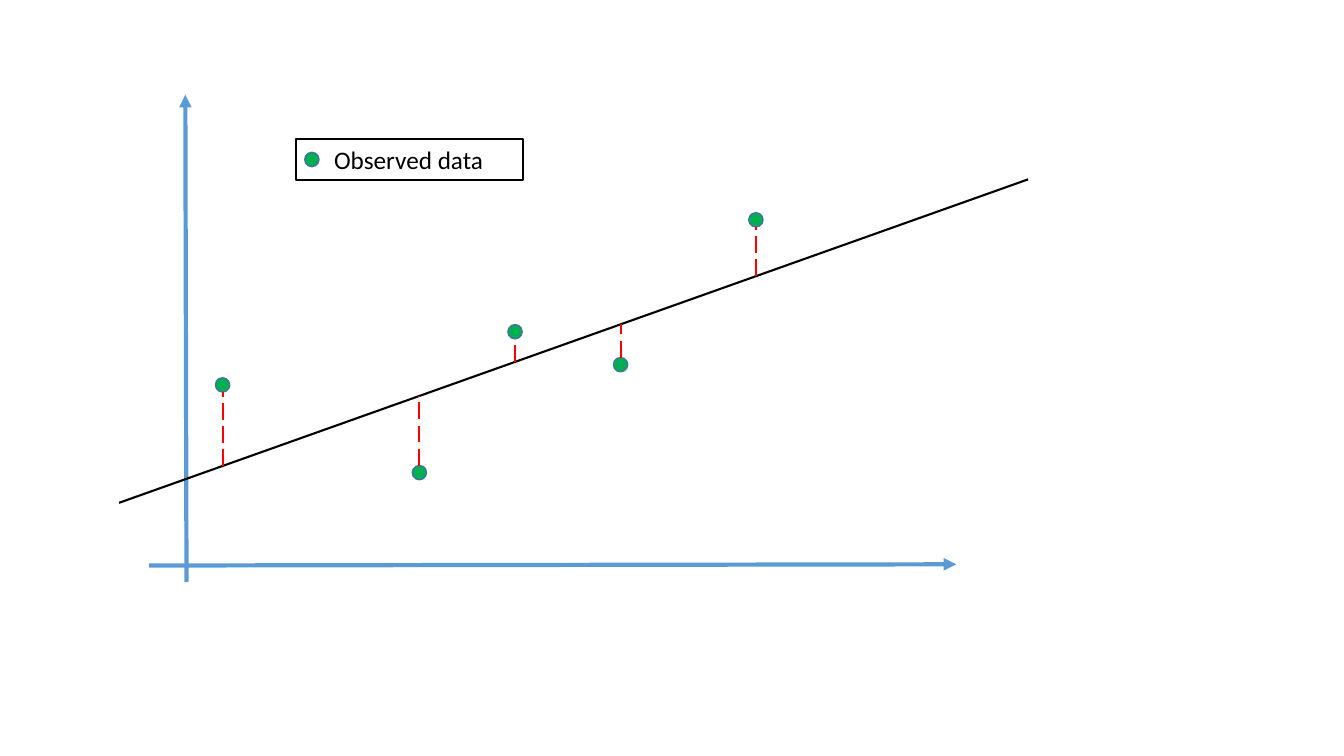
import dataclasses

import pptx
import pptx.dml.color
import pptx.enum.dml
import pptx.enum.shapes
import pptx.enum.text
import pptx.oxml.ns
import pptx.util
from lxml import etree
from pptx.util import Cm


@dataclasses.dataclass(frozen=True)
class Theme:
    """Colours, type and line widths of the slide."""
    axis: str = "5B9BD5"
    ink: str = "000000"
    dot: str = "00B050"
    dot_edge: str = "43739E"
    residual: str = "FF0000"
    font: str = "Calibri"
    text_size: float = 18
    axis_width: float = 3
    line_width: float = 1.5
    edge_width: float = 1


THEME = Theme()
DOT_SIZE = 0.36
OBSERVATIONS = [(9.98, 5.97), (12.64, 6.8), (2.61, 7.31), (7.57, 9.52), (16.05, 3.15)]
FIT_START = (22.91, 2.13)
FIT_END = (0, 10.28)


def rgb(code):
    """Return the colour for a hex code."""
    return pptx.dml.color.RGBColor.from_string(code)


def set_line(line, color, width):
    """Colour an outline and set its width in points."""
    line.color.rgb = rgb(color)
    line.width = pptx.util.Pt(width)


def add_line(page, box, start, end, color, width, arrow=False, dashed=False):
    """Draw a straight line between two points of the box."""
    left, top = box[:2]
    line = page.shapes.add_connector(
        pptx.enum.shapes.MSO_CONNECTOR.STRAIGHT,
        Cm(left + start[0]), Cm(top + start[1]), Cm(left + end[0]), Cm(top + end[1]))
    set_line(line.line, color, width)
    if dashed:
        line.line.dash_style = pptx.enum.dml.MSO_LINE.LONG_DASH
    properties = line.element.spPr
    if arrow:
        outline = properties.find(pptx.oxml.ns.qn("a:ln"))
        etree.SubElement(outline, pptx.oxml.ns.qn("a:tailEnd"), type="triangle")
    etree.SubElement(properties, pptx.oxml.ns.qn("a:effectLst"))


def add_dot(page, box, center):
    """Draw a data marker around a point of the box."""
    left, top = (box[i] + center[i] - DOT_SIZE / 2 for i in range(2))
    dot = page.shapes.add_shape(pptx.enum.shapes.MSO_SHAPE.OVAL,
                                Cm(left), Cm(top), Cm(DOT_SIZE), Cm(DOT_SIZE))
    dot.shadow.inherit = False
    dot.fill.solid()
    dot.fill.fore_color.rgb = rgb(THEME.dot)
    set_line(dot.line, THEME.dot_edge, THEME.edge_width)


def fitted(x):
    """Return the height of the regression line at x."""
    slope = (FIT_START[1] - FIT_END[1]) / (FIT_START[0] - FIT_END[0])
    return FIT_END[1] + slope * (x - FIT_END[0])


def add_plot(page, box):
    """Draw the axes, regression line, observations and residuals."""
    for start, end in [((1.7, 12.27), (1.67, 0)), ((0.76, 11.86), (21.1, 11.83))]:
        add_line(page, box, start, end, THEME.axis, THEME.axis_width, arrow=True)
    add_line(page, box, FIT_START, FIT_END, THEME.ink, THEME.line_width)
    for center in OBSERVATIONS:
        add_dot(page, box, center)
    for x, y in OBSERVATIONS:
        target = fitted(x)
        edge = y + DOT_SIZE / 2 if y < target else y - DOT_SIZE / 2
        add_line(page, box, (x, max(edge, target)), (x, min(edge, target)),
                 THEME.residual, THEME.line_width, dashed=True)


def add_legend(page, box):
    """Draw the framed legend with its marker."""
    frame = page.shapes.add_textbox(*(Cm(length) for length in box))
    set_line(frame.line, THEME.ink, THEME.line_width)
    text = frame.text_frame
    text.word_wrap = True
    text.vertical_anchor = pptx.enum.text.MSO_ANCHOR.MIDDLE
    text.margin_left = Cm(0.97)
    text.text = "Observed data"
    font = text.paragraphs[0].runs[0].font
    font.name = THEME.font
    font.size = pptx.util.Pt(THEME.text_size)
    font.color.rgb = rgb(THEME.ink)
    add_dot(page, box, (0.41, box[3] / 2))


def main():
    """Build the slide and save it."""
    deck = pptx.Presentation()
    deck.slide_width, deck.slide_height = Cm(33.87), Cm(19.05)
    page = deck.slides.add_slide(deck.slide_layouts[6])
    plot = (3, 2.39, 22.91, 12.27)
    add_plot(page, plot)
    add_legend(page, (plot[0] + 4.45, plot[1] + 1.12, 5.74, 1.02))
    deck.save("out.pptx")


if __name__ == "__main__":
    main()
